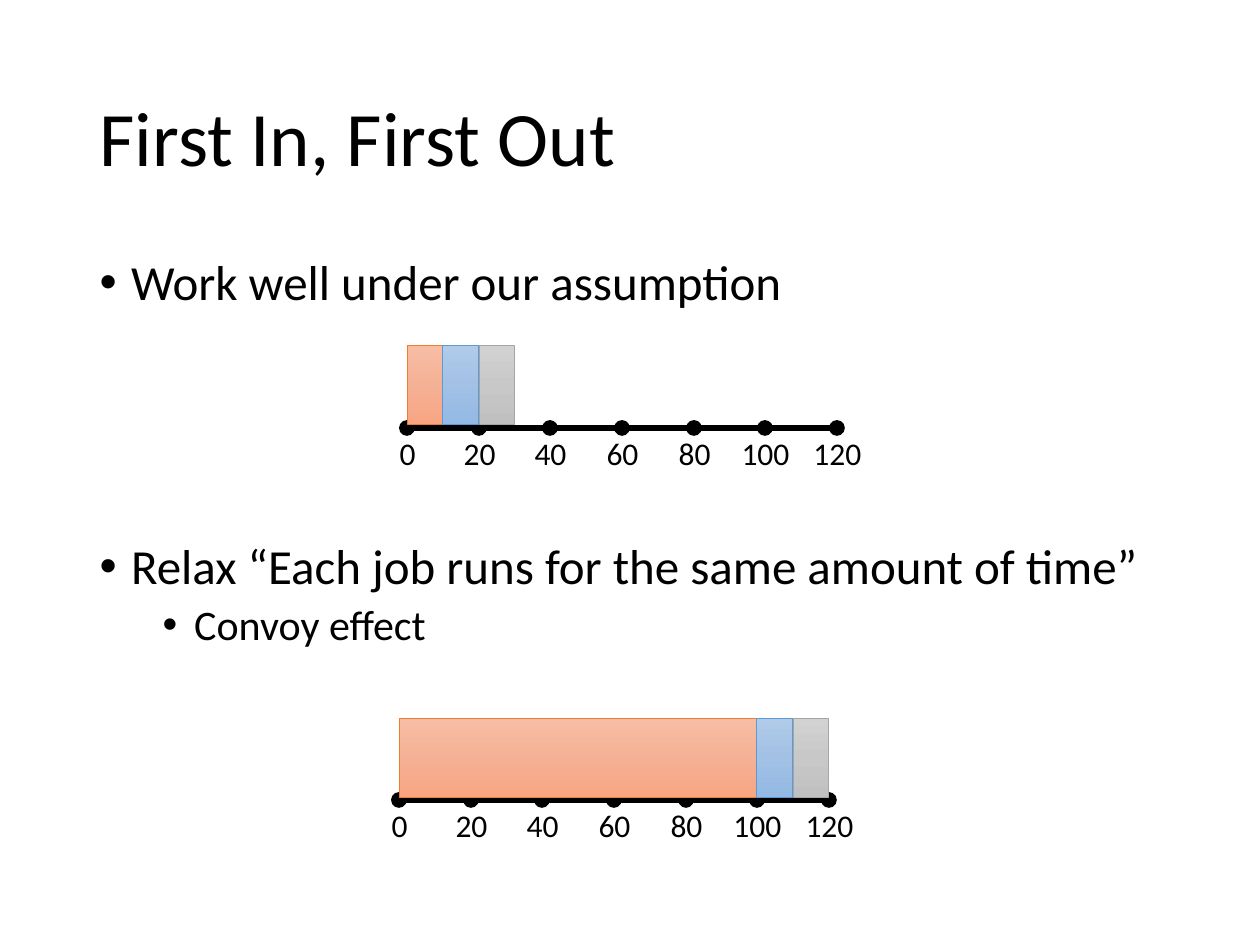
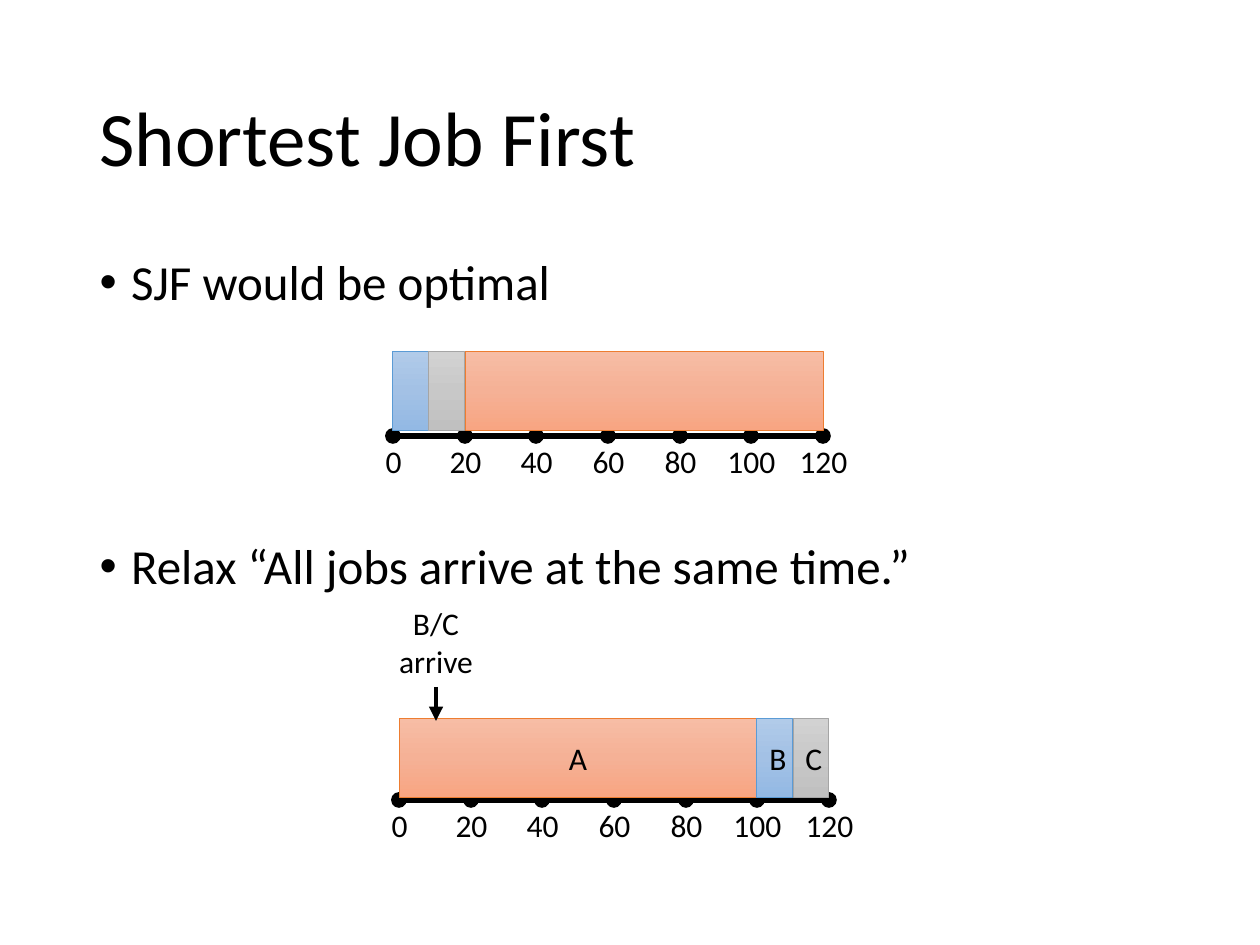
from copy import deepcopy
from dataclasses import dataclass
from typing import Any

from lxml import etree
from pptx import Presentation
from pptx import util as u
from pptx.dml import color
from pptx.enum import shapes, text
from pptx.oxml import ns

SCALE = 914400 / 126


@dataclass(frozen=True)
class Tint:
    stops: tuple[str, str, str]
    edge: str


@dataclass(frozen=True)
class Theme:
    font: str = "Calibri"
    ink: str = "000000"
    title: int = 44
    body: tuple[int, int] = (28, 24)
    label: int = 18
    lead: float = 0.9
    red: Tint = Tint(("F7BDA5", "F5B196", "F8A582"), "ED7D31")
    blue: Tint = Tint(("B1CBE9", "A3C1E5", "93B9E4"), "5B9BD5")
    gray: Tint = Tint(("D2D2D2", "C8C8C8", "C0C0C0"), "A5A5A5")


@dataclass(frozen=True)
class Box:
    left: int
    top: int
    width: int
    height: int

    def emu(self) -> tuple[u.Emu, ...]:
        return tuple(px(n) for n in (self.left, self.top, self.width, self.height))


@dataclass(frozen=True)
class Item:
    words: str
    level: int = 0
    gap: int = 0


@dataclass(frozen=True)
class Job:
    tint: Tint
    start: int
    span: int
    name: str = ""


@dataclass(frozen=True)
class Plot:
    left: int
    base: int
    rise: int
    jobs: tuple[Job, ...]

    def at(self, time: int) -> int:
        return self.left + round(time * AXIS / LAST)


@dataclass(frozen=True)
class Note:
    box: Box
    lines: tuple[str, ...]
    tip: int


@dataclass(frozen=True)
class Page:
    title: str
    items: tuple[Item, ...]
    plots: tuple[Plot, ...]
    note: Note | None = None


THEME = Theme()
HEAD = Box(87, 50, 1086, 183)
BODY = Box(87, 252, 1086, 600)
AXIS, LAST, STEP = 430, 120, 20
DOT, BAR, LABEL = 14, 79, 50
PLOT_GAP = 132


def px(count: int) -> u.Emu:
    return u.Emu(round(count * SCALE))


def rgb(code: str) -> color.RGBColor:
    return color.RGBColor.from_string(code)


def add_run(para: Any, words: str, size: int) -> None:
    run = para.add_run()
    run.text = words
    run.font.name = THEME.font
    run.font.size = u.Pt(size)
    run.font.color.rgb = rgb(THEME.ink)


def place(holder: Any, box: Box) -> Any:
    holder.left, holder.top, holder.width, holder.height = box.emu()
    holder.text_frame.auto_size = text.MSO_AUTO_SIZE.NONE
    return holder.text_frame


def draw_title(slide: Any, words: str) -> None:
    frame = place(slide.shapes.title, HEAD)
    frame.vertical_anchor = text.MSO_ANCHOR.MIDDLE
    para = frame.paragraphs[0]
    para.alignment = text.PP_ALIGN.LEFT
    para.line_spacing = THEME.lead
    add_run(para, words, THEME.title)


def draw_list(slide: Any, items: tuple[Item, ...]) -> None:
    frame = place(slide.placeholders[1], BODY)
    for rank, item in enumerate(items):
        para = frame.add_paragraph() if rank else frame.paragraphs[0]
        para.level = item.level
        props = para._p.get_or_add_pPr()
        props.set("marL", str(u.Inches(0.25 + item.level * 0.5)))
        props.set("indent", str(u.Inches(-0.25)))
        etree.SubElement(props, ns.qn("a:buFont"), typeface="Arial")
        etree.SubElement(props, ns.qn("a:buChar"), char="•")
        para.line_spacing = THEME.lead
        para.space_before = u.Pt(item.gap)
        add_run(para, item.words, THEME.body[item.level])


def add_line(parent: Any, start: tuple[int, int], end: tuple[int, int], width: float) -> Any:
    line = parent.add_connector(shapes.MSO_CONNECTOR.STRAIGHT, *map(px, start + end))
    line.line.color.rgb = rgb(THEME.ink)
    line.line.width = u.Pt(width)
    etree.SubElement(line.element.spPr, ns.qn("a:effectLst"))
    return line


def add_label(parent: Any, box: Box, lines: tuple[str, ...]) -> Any:
    label = parent.add_textbox(*box.emu())
    frame = label.text_frame
    frame.word_wrap = False
    frame.auto_size = text.MSO_AUTO_SIZE.SHAPE_TO_FIT_TEXT
    for rank, words in enumerate(lines):
        para = frame.add_paragraph() if rank else frame.paragraphs[0]
        para.alignment = text.PP_ALIGN.CENTER
        add_run(para, words, THEME.label)
    return label


def add_dot(parent: Any, mid: int, base: int) -> None:
    box = Box(mid - DOT // 2, base - DOT // 2, DOT, DOT)
    dot = parent.add_shape(shapes.MSO_SHAPE.OVAL, *box.emu())
    dot.shadow.inherit = False
    dot.fill.solid()
    dot.fill.fore_color.rgb = rgb(THEME.ink)
    dot.line.color.rgb = rgb(THEME.ink)
    dot.line.width = u.Pt(1)


def add_job(parent: Any, plot: Plot, job: Job) -> None:
    left = plot.at(job.start)
    box = Box(left, plot.base - plot.rise, plot.at(job.start + job.span) - left, BAR)
    bar = parent.add_shape(shapes.MSO_SHAPE.RECTANGLE, *box.emu())
    bar.shadow.inherit = False
    bar.fill.gradient()
    bar.fill.gradient_angle = 270
    stops = bar.element.spPr.find(".//" + ns.qn("a:gsLst"))
    stops.insert(1, deepcopy(stops[0]))
    for rank, (stop, code) in enumerate(zip(bar.fill.gradient_stops, job.tint.stops)):
        stop.position = rank / 2
        stop.color.rgb = rgb(code)
    bar.line.color.rgb = rgb(job.tint.edge)
    bar.line.width = u.Pt(0.5)
    if job.name:
        bar.text_frame.vertical_anchor = text.MSO_ANCHOR.MIDDLE
        para = bar.text_frame.paragraphs[0]
        para.alignment = text.PP_ALIGN.CENTER
        add_run(para, job.name, THEME.label)


def draw_plot(slide: Any, plot: Plot) -> None:
    group = slide.shapes.add_group_shape().shapes
    half = DOT // 2
    add_line(group, (plot.left - half, plot.base), (plot.at(LAST) + half, plot.base), 3)
    for time in range(0, LAST + 1, STEP):
        mid = plot.at(time)
        add_dot(group, mid, plot.base)
        width = 25 + 16 * len(str(time))
        add_label(group, Box(mid - width // 2, plot.base, width, LABEL), (str(time),))
    for job in plot.jobs:
        add_job(group, plot, job)


def draw_note(slide: Any, note: Note) -> None:
    label = add_label(slide.shapes, note.box, note.lines)
    mid = note.box.left + note.box.width // 2
    foot = note.box.top + note.box.height
    arrow = add_line(slide.shapes, (mid, foot), (mid, note.tip), 2.75)
    arrow.begin_connect(label, 2)
    etree.SubElement(arrow.element.spPr.find(ns.qn("a:ln")), ns.qn("a:tailEnd"), type="triangle")


def convoy(names: str = "") -> Plot:
    first, second, third = names or ("", "", "")
    jobs = (
        Job(THEME.red, 0, 100, first),
        Job(THEME.blue, 100, 10, second),
        Job(THEME.gray, 110, 10, third),
    )
    return Plot(399, 800, 82, jobs)


PAGES = (
    Page(
        "First In, First Out",
        (
            Item("Work well under our assumption"),
            Item("Relax “Each job runs for the same amount of time”", gap=PLOT_GAP),
            Item("Convoy effect", level=1, gap=5),
        ),
        (
            Plot(407, 428, 83, (
                Job(THEME.red, 0, 10),
                Job(THEME.blue, 10, 10),
                Job(THEME.gray, 20, 10),
            )),
            convoy(),
        ),
    ),
    Page(
        "Shortest Job First",
        (
            Item("SJF would be optimal"),
            Item("Relax “All jobs arrive at the same time.”", gap=PLOT_GAP),
        ),
        (
            Plot(393, 436, 85, (
                Job(THEME.red, 20, 100),
                Job(THEME.blue, 0, 10),
                Job(THEME.gray, 10, 10),
            )),
            convoy("ABC"),
        ),
        Note(Box(386, 598, 100, 89), ("B/C", "arrive"), 721),
    ),
)


def main() -> None:
    deck = Presentation()
    deck.slide_width, deck.slide_height = px(1260), px(945)
    for page in PAGES:
        slide = deck.slides.add_slide(deck.slide_layouts[1])
        draw_title(slide, page.title)
        draw_list(slide, page.items)
        for plot in page.plots:
            draw_plot(slide, plot)
        if page.note:
            draw_note(slide, page.note)
    deck.save("out.pptx")


if __name__ == "__main__":
    main()
